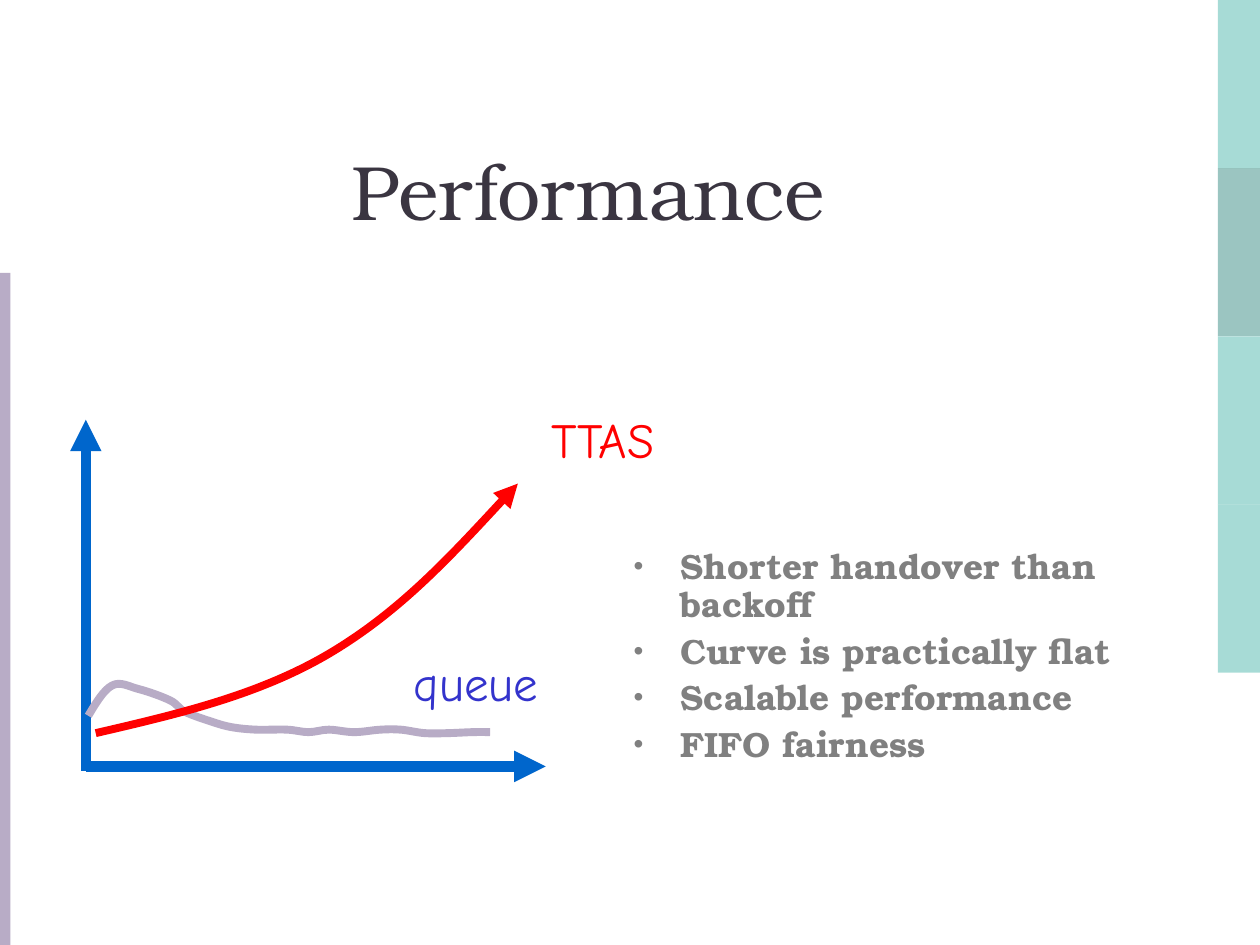
"""Build the Performance slide with its curve sketch and findings."""
from lxml.etree import SubElement as Sub
from pptx import Presentation
from pptx.dml.color import RGBColor
from pptx.enum.shapes import MSO_CONNECTOR as Link, MSO_SHAPE as Form
from pptx.enum.text import MSO_ANCHOR as Anchor, MSO_AUTO_SIZE as Auto, PP_ALIGN as Align
from pptx.oxml.ns import qn
from pptx.util import Cm, Pt

TEAL = RGBColor(0x51, 0xB9, 0xAF)
DEEP = RGBColor(0x39, 0x8D, 0x85)
LILAC = RGBColor(0xB8, 0xAC, 0xC6)
INK = RGBColor(0x3A, 0x35, 0x41)
GREY = RGBColor(0x80, 0x80, 0x80)
BLUE = RGBColor(0x00, 0x66, 0xCC)
NAVY = RGBColor(0x33, 0x33, 0xCC)
RED = RGBColor(0xFF, 0x00, 0x00)

HEAD = {"name": "TeX Gyre Bonum", "size": Pt(44), "bold": False}
ITEM = {"name": "TeX Gyre Bonum", "size": Pt(20), "bold": True}
NOTE = {"name": "Comic Neue", "size": Pt(28)}
LIST = {"line_spacing": 0.9, "space_before": Pt(5), "alignment": Align.LEFT}
WRAP = {"word_wrap": True, "auto_size": Auto.NONE}

BARS = [TEAL, DEEP, TEAL, TEAL]
POINTS = ["Shorter handover than backoff", "Curve is practically flat",
          "Scalable performance", "FIFO fairness"]
QUEUE = [(1.78, 14.43), (2.26, 13.82), (2.79, 13.89), (3.43, 14.12), (3.73, 14.35),
         (4.27, 14.55), (4.67, 14.66), (5.16, 14.71), (5.79, 14.71), (6.22, 14.76),
         (6.63, 14.71), (7.14, 14.76), (7.67, 14.71), (8.08, 14.71), (8.56, 14.78),
         (9.04, 14.78), (9.53, 14.76), (9.88, 14.76)]
TTAS = [(1.93, 14.78), (6.63, 13.18), (10.44, 9.75)]


def apply(obj, values):
    """Set each named attribute of an object."""
    for name, value in values.items():
        setattr(obj, name, value)


def place(shape, *box):
    """Move and size a shape in centimetres."""
    names = ("left", "top", "width", "height")
    apply(shape, dict(zip(names, map(Cm, box))))


def write(para, text, font, color):
    """Put one formatted run in a paragraph."""
    run = para.add_run()
    run.text = text
    apply(run.font, font)
    run.font.color.rgb = color


def add_bar(slide, box, color, alpha=None):
    """Add a plain filled bar, see-through if alpha is given."""
    bar = slide.shapes.add_shape(Form.RECTANGLE, *map(Cm, box))
    bar.shadow.inherit = False
    bar.line.fill.background()
    bar.fill.solid()
    bar.fill.fore_color.rgb = color
    if alpha:
        tone = bar._element.spPr.find(".//" + qn("a:srgbClr"))
        Sub(tone, qn("a:alpha"), val=str(alpha * 1000))


def stroke(shape, color, width, arrow):
    """Style a line and give it an arrowhead on request."""
    shape.line.color.rgb = color
    shape.line.width = Pt(width)
    if arrow:
        line = shape._element.spPr.find(qn("a:ln"))
        Sub(line, qn("a:tailEnd"), type="triangle")


def add_axis(slide, start, end):
    """Add a straight axis with an arrowhead."""
    axis = slide.shapes.add_connector(Link.STRAIGHT, *map(Cm, start + end))
    stroke(axis, BLUE, 6, True)
    Sub(axis._element.spPr, qn("a:effectLst"))


def smooth(knots):
    """Return Bezier points of a smooth curve through the knots."""
    def mid(a, b):
        return (a[0] + b[0]) / 2, (a[1] + b[1]) / 2

    pts = [knots[0]]
    for a, b, c in zip(knots, knots[1:], knots[2:]):
        dx, dy = (c[0] - a[0]) / 6, (c[1] - a[1]) / 6
        pts += [(b[0] - dx, b[1] - dy), b, (b[0] + dx, b[1] + dy)]
    return [pts[0], mid(pts[0], pts[1]), *pts[1:], mid(pts[-1], knots[-1]), knots[-1]]


def add_curve(slide, knots, color, arrow=False):
    """Add an open Bezier curve through the knots."""
    first, *rest = [(Cm(x), Cm(y)) for x, y in smooth(knots)]
    pen = slide.shapes.build_freeform(*first)
    pen.add_line_segments(rest, close=False)
    curve = pen.convert_to_shape()
    trace = curve._element.spPr.find(".//" + qn("a:path"))
    for i, step in enumerate(trace.findall(qn("a:lnTo"))):
        if i % 3 == 0:
            bend = Sub(trace, qn("a:cubicBezTo"))
        bend.append(step[0])
        trace.remove(step)
    curve.shadow.inherit = False
    curve.fill.background()
    stroke(curve, color, 4.5, arrow)


def add_label(slide, text, box, color):
    """Add a right-aligned curve name."""
    frame = slide.shapes.add_textbox(*map(Cm, box)).text_frame
    apply(frame, {"word_wrap": False, "auto_size": Auto.SHAPE_TO_FIT_TEXT})
    para = frame.paragraphs[0]
    para.alignment = Align.RIGHT
    write(para, text, NOTE, color)


def set_title(shape, text):
    """Fill and place the title."""
    place(shape, 1.07, 1.7, 21.59, 3.18)
    frame = shape.text_frame
    apply(frame, WRAP | {"vertical_anchor": Anchor.BOTTOM})
    para = frame.paragraphs[0]
    para.alignment = Align.CENTER
    write(para, text, HEAD, INK)


def set_list(shape, items):
    """Fill and place the bulleted list."""
    place(shape, 12.52, 10.95, 10.69, 4.57)
    frame = shape.text_frame
    apply(frame, WRAP | {"vertical_anchor": Anchor.TOP})
    for i, text in enumerate(items):
        para = frame.add_paragraph() if i else frame.paragraphs[0]
        apply(para, LIST)
        props = para._p.get_or_add_pPr()
        props.set("marL", str(Cm(0.95)))
        props.set("indent", str(-Cm(0.95)))
        Sub(Sub(props, qn("a:buClr")), qn("a:srgbClr"), val=str(GREY))
        Sub(props, qn("a:buSzPct"), val="80000")
        Sub(props, qn("a:buChar"), char="•")
        write(para, text, ITEM, GREY)


def main():
    """Build and save the slide."""
    deck = Presentation()
    apply(deck, {"slide_width": Cm(25.4), "slide_height": Cm(19.05)})
    slide = deck.slides.add_slide(deck.slide_layouts[1])
    for i, color in enumerate(BARS):
        add_bar(slide, (24.55, i * 3.39, 0.85, 3.39), color, 50)
    add_bar(slide, (0, 5.5, 0.21, 13.55), LILAC)
    set_title(slide.shapes.title, "Performance")
    set_list(slide.placeholders[1], POINTS)
    add_axis(slide, (1.73, 15.54), (1.73, 8.46))
    add_axis(slide, (1.73, 15.45), (11, 15.45))
    add_curve(slide, QUEUE, LILAC)
    add_label(slide, "queue", (8.08, 13.03, 3.02, 1.45), NAVY)
    add_label(slide, "TTAS", (10.8, 8.13, 2.64, 1.45), RED)
    add_curve(slide, TTAS, RED, True)
    deck.save("out.pptx")


if __name__ == "__main__":
    main()
